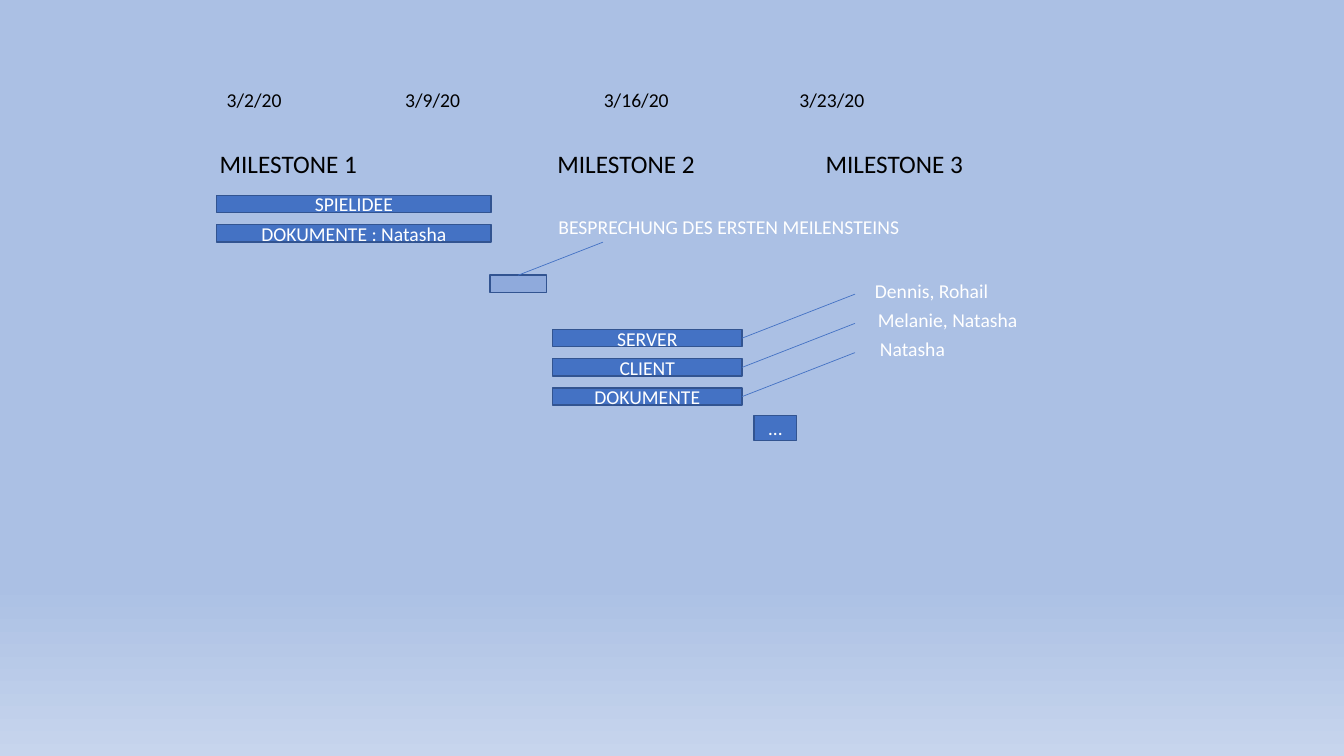
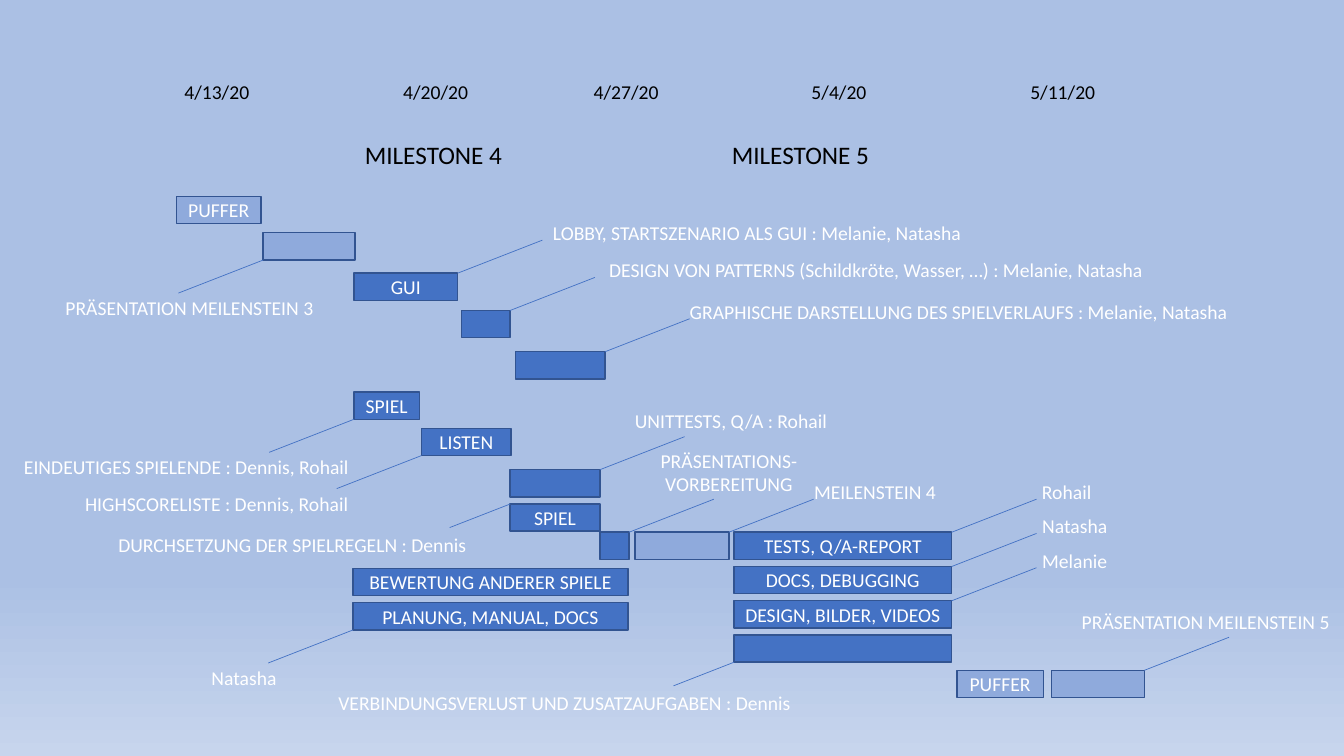
"""Build a two-slide project schedule with milestones, task bars and callouts."""
from dataclasses import dataclass

import pptx
import pptx.dml.color
import pptx.enum.shapes
import pptx.enum.text
import pptx.oxml
import pptx.util
from pptx.util import Inches


@dataclass(frozen=True)
class Theme:
    font: str = "Calibri"
    black: str = "000000"
    white: str = "FFFFFF"
    task: str = "4472C4"
    meeting: str = "8FAADC"
    outline: str = "325491"
    sky: str = "ABC0E4"
    horizon: str = "C7D5ED"
    label_size: int = 14
    milestone_size: int = 18
    outline_width: float = 1
    callout_width: float = 0.5


@dataclass(frozen=True)
class Callout:
    across: float
    down: float
    run: float
    note_shift: float


@dataclass(frozen=True)
class Column:
    left: float
    top: float
    width: float
    bars: list
    color: str = "4472C4"
    height: float = 0


theme = Theme()
rgb = pptx.dml.color.RGBColor.from_string
CALLOUT_SLOPE = 0.39
LINE_HEIGHT = 0.23

beside = Callout(1, 0, 0.84, -0.24)
above = Callout(1, 0, 0.84, -0.32)
centred = Callout(0.5, 0, 0.84, -0.32)
distant = Callout(1, 0.5, 1.12, -0.2)
below = Callout(0, 1, -0.84, -0.02)
near = Callout(0, 1, -0.6, 0)
level = Callout(0, 0, -0.6, 0)

schedules = [
    {
        "horizon_start": 0.77, "bar_height": 0.17, "step": 0.29,
        "date_top": 0.82, "milestone_top": 1.42,
        "dates": {"3/2/20": 2.15, "3/9/20": 3.92, "3/16/20": 5.89, "3/23/20": 7.83},
        "milestones": {"MILESTONE 1": 2.08, "MILESTONE 2": 5.43, "MILESTONE 3": 8.09},
        "columns": [
            Column(2.15, 1.94, 2.72, [("SPIELIDEE",), ("DOKUMENTE : Natasha",)]),
            Column(4.86, 2.73, 0.56, [
                ("", centred, "BESPRECHUNG DES ERSTEN MEILENSTEINS", 7.23)], theme.meeting),
            Column(5.48, 3.27, 1.88, [
                ("SERVER", distant, "Dennis, Rohail", 9.24),
                ("CLIENT", distant, "Melanie, Natasha", 9.4),
                ("DOKUMENTE", distant, "Natasha", 9.05)]),
            Column(7.48, 4.12, 0.42, [("…",)], height=0.25),
        ],
    },
    {
        "horizon_start": 0.76, "bar_height": 0.27, "step": 0.34,
        "date_top": 0.74, "milestone_top": 1.33,
        "dates": {"4/13/20": 1.73, "4/20/20": 3.9, "4/27/20": 5.79,
                  "5/4/20": 7.95, "5/11/20": 10.12},
        "milestones": {"MILESTONE 4": 3.52, "MILESTONE 5": 7.16},
        "columns": [
            Column(1.75, 1.95, 0.84, [("PUFFER",)], theme.meeting),
            Column(2.61, 2.31, 0.91, [
                ("", below, "PRÄSENTATION MEILENSTEIN 3", 1.88)], theme.meeting),
            Column(3.51, 2.71, 1.03, [
                ("GUI", beside, "LOBBY, STARTSZENARIO ALS GUI : Melanie, Natasha", 7.51)]),
            Column(4.58, 3.08, 0.48, [
                ("", beside, "DESIGN VON PATTERNS (Schildkröte, Wasser, …) : Melanie, Natasha",
                 8.69)]),
            Column(5.11, 3.49, 0.89, [
                ("", beside, "GRAPHISCHE DARSTELLUNG DES SPIELVERLAUFS : Melanie, Natasha",
                 9.51)]),
            Column(3.51, 3.89, 0.65, [
                ("SPIEL", below, "EINDEUTIGES SPIELENDE : Dennis, Rohail", 1.85)]),
            Column(4.18, 4.25, 0.89, [
                ("LISTEN", below, "HIGHSCORELISTE : Dennis, Rohail", 2.15)]),
            Column(5.06, 4.66, 0.89, [
                ("", above, "UNITTESTS, Q/A : Rohail", 7.25),
                ("SPIEL", level, "DURCHSETZUNG DER SPIELREGELN : Dennis", 2.9)]),
            Column(5.95, 5.28, 0.29, [
                ("", above, "PRÄSENTATIONS-\nVORBEREITUNG", 7.23)]),
            Column(6.3, 5.28, 0.93, [("", beside, "MEILENSTEIN 4", 8.68)], theme.meeting),
            Column(3.5, 5.64, 2.73, [
                ("BEWERTUNG ANDERER SPIELE",),
                ("PLANUNG, MANUAL, DOCS", below, "Natasha", 2.42)]),
            Column(7.28, 5.28, 2.16, [
                ("TESTS, Q/A-REPORT", beside, "Rohail", 10.58),
                ("DOCS, DEBUGGING", beside, "Natasha", 10.66),
                ("DESIGN, BILDER, VIDEOS", beside, "Melanie", 10.66),
                ("", near, "VERBINDUNGSVERLUST UND ZUSATZAUFGABEN : Dennis", 5.6)]),
            Column(9.49, 6.65, 0.86, [("PUFFER",)], theme.meeting),
            Column(10.43, 6.65, 0.92, [
                ("", above, "PRÄSENTATION MEILENSTEIN 5", 11.96)], theme.meeting),
        ],
    },
]


def write_text(shape, text, *, size=theme.label_size, color=theme.white,
               align="CENTER", wrap=True):
    frame = shape.text_frame
    frame.word_wrap = wrap
    frame.text = text
    for paragraph in frame.paragraphs:
        paragraph.alignment = pptx.enum.text.PP_ALIGN[align]
        paragraph.font.name = theme.font
        paragraph.font.size = pptx.util.Pt(size)
        for run in paragraph.runs:
            run.font.name = theme.font
            run.font.size = pptx.util.Pt(size)
            run.font.color.rgb = rgb(color)


def add_callout(slide, callout, left, top):
    end_left = left + callout.run
    end_top = top - callout.run * CALLOUT_SLOPE
    connector = slide.shapes.add_connector(
        pptx.enum.shapes.MSO_CONNECTOR.STRAIGHT,
        Inches(left), Inches(top), Inches(end_left), Inches(end_top))
    connector.line.color.rgb = rgb(theme.task)
    connector.line.width = pptx.util.Pt(theme.callout_width)
    connector.element.spPr.append(pptx.oxml.parse_xml(
        '<a:effectLst xmlns:a="http://schemas.openxmlformats.org/drawingml/2006/main"/>'))
    return end_top


presentation = pptx.Presentation()
presentation.slide_width = Inches(13.33)
presentation.slide_height = Inches(7.5)

for schedule in schedules:
    slide = presentation.slides.add_slide(presentation.slide_layouts[6])
    background = slide.background.fill
    background.gradient()
    background.gradient_angle = 270
    stops = [(schedule["horizon_start"], theme.sky), (1, theme.horizon)]
    for stop, (position, color) in zip(background.gradient_stops, stops):
        stop.position = position
        stop.color.rgb = rgb(color)

    headings = [("dates", "date_top", 1.38, 0.34, theme.label_size),
                ("milestones", "milestone_top", 1.8, 0.4, theme.milestone_size)]
    for group, row, width, height, size in headings:
        for text, left in schedule[group].items():
            heading = slide.shapes.add_textbox(
                Inches(left), Inches(schedule[row]), Inches(width), Inches(height))
            write_text(heading, text, size=size, color=theme.black, align="LEFT")

    for column in schedule["columns"]:
        height = column.height or schedule["bar_height"]
        for index, (name, *details) in enumerate(column.bars):
            top = column.top + index * schedule["step"]
            bar = slide.shapes.add_shape(
                pptx.enum.shapes.MSO_SHAPE.RECTANGLE,
                Inches(column.left), Inches(top), Inches(column.width), Inches(height))
            bar.shadow.inherit = False
            bar.fill.solid()
            bar.fill.fore_color.rgb = rgb(column.color)
            bar.line.color.rgb = rgb(theme.outline)
            bar.line.width = pptx.util.Pt(theme.outline_width)
            frame = bar.text_frame
            frame.margin_left = frame.margin_right = 0
            frame.margin_top = frame.margin_bottom = 0
            frame.vertical_anchor = pptx.enum.text.MSO_ANCHOR.MIDDLE
            write_text(bar, name, wrap=False)

            if details:
                callout, note, centre = details
                end_top = add_callout(slide, callout,
                                      column.left + callout.across * column.width,
                                      top + callout.down * height)
                lines = note.split("\n")
                extra = (len(lines) - 1) * LINE_HEIGHT
                note_width = 0.3 + 0.1 * max(map(len, lines))
                note_box = slide.shapes.add_textbox(
                    Inches(centre - note_width / 2),
                    Inches(end_top + callout.note_shift - extra),
                    Inches(note_width), Inches(0.34 + extra))
                write_text(note_box, note)

presentation.save("out.pptx")
